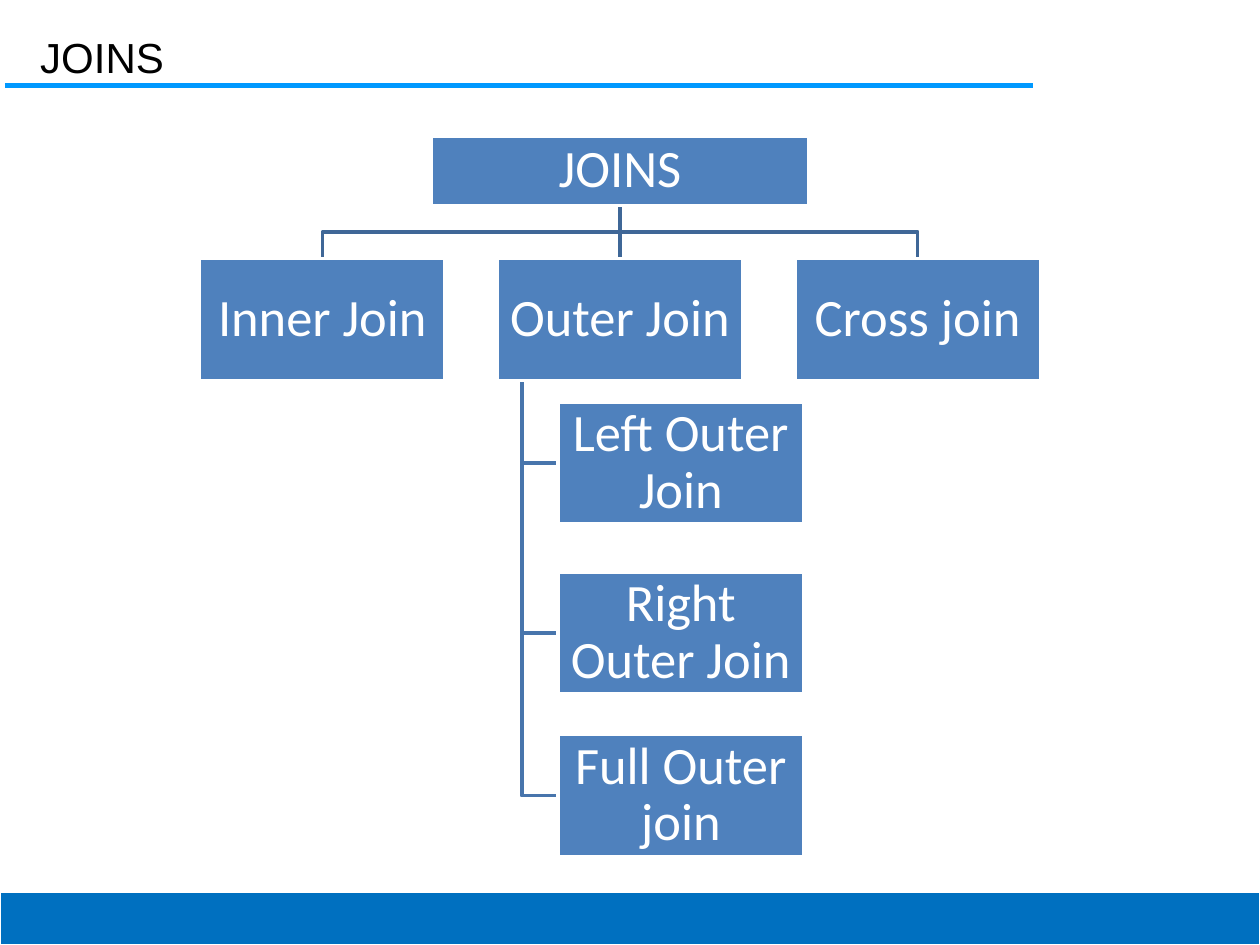
import pptx
import pptx.util
import pptx.dml.color
import pptx.enum.shapes
import pptx.enum.text
import pptx.oxml.ns
from lxml import etree

Cm, Pt = pptx.util.Cm, pptx.util.Pt
ANCHOR = pptx.enum.text.MSO_ANCHOR
ALIGN = pptx.enum.text.PP_ALIGN

COLORS = {
    "text": "000000", "white": "FFFFFF", "rule": "0099FF", "footer": "0070C0",
    "box": "4F81BD", "branch": "3F6797", "stem": "4875AC",
}


def rgb(name):
    return pptx.dml.color.RGBColor.from_string(COLORS[name])


class Deck:
    """Holds the style and the current slide."""

    box_size = (4.95, 2.46)

    def __init__(self, width, height):
        self.prs = pptx.Presentation()
        self.prs.slide_width, self.prs.slide_height = Cm(width), Cm(height)
        self.s = self.prs.slides.add_slide(self.prs.slide_layouts[5])

    def set_text(self, sp, text, size, font, color, align, spacing, **frame):
        tf = sp.text_frame
        frame = {"word_wrap": True, "auto_size": pptx.enum.text.MSO_AUTO_SIZE.NONE, **frame}
        for name, value in frame.items():
            setattr(tf, name, value)
        p = tf.paragraphs[0]
        p.alignment, p.line_spacing = align, spacing
        r = p.add_run()
        r.text = text
        for name, value in {"size": Pt(size), "name": font}.items():
            setattr(r.font, name, value)
        r.font.color.rgb = rgb(color)

    def title(self, text, x, y, w, h):
        sp = self.s.shapes.title
        sp.left, sp.top, sp.width, sp.height = map(Cm, (x, y, w, h))
        self.set_text(sp, text, 24, "Arial", "text", ALIGN.LEFT, 1.0,
                      vertical_anchor=ANCHOR.TOP, margin_left=Cm(0.23), margin_right=Cm(0.23),
                      margin_top=Cm(0.2), margin_bottom=Cm(0))

    def rect(self, x, y, w, h, fill, line_width):
        sp = self.s.shapes.add_shape(
            pptx.enum.shapes.MSO_SHAPE.RECTANGLE, *map(Cm, (x, y, w, h)))
        sp.shadow.inherit = False
        sp.fill.solid()
        sp.fill.fore_color.rgb = rgb(fill)
        self.stroke(sp, "white", line_width)
        return sp

    def box(self, text, x, y, size=box_size):
        sp = self.rect(x, y, *size, "box", 2)
        margins = {f"margin_{side}": Cm(0.05) for side in ("left", "right", "top", "bottom")}
        self.set_text(sp, text, 30, "Calibri", "white", ALIGN.CENTER, 0.9,
                      vertical_anchor=ANCHOR.MIDDLE, **margins)
        return sp

    def stroke(self, sp, color, width):
        sp.line.color.rgb = rgb(color)
        sp.line.width = Pt(width)

    def to_back(self, sp):
        self.s.shapes._spTree.insert(2, sp._element)

    def line(self, x1, y1, x2, y2, color, width):
        sp = self.s.shapes.add_connector(
            pptx.enum.shapes.MSO_CONNECTOR.STRAIGHT, *map(Cm, (x1, y1, x2, y2)))
        self.stroke(sp, color, width)
        etree.SubElement(sp._element.spPr, pptx.oxml.ns.qn("a:effectLst"))
        self.to_back(sp)
        return sp

    def elbow(self, points, color):
        start, *rest = [(Cm(x), Cm(y)) for x, y in points]
        builder = self.s.shapes.build_freeform(*start, scale=1.0)
        builder.add_line_segments(rest, close=False)
        sp = builder.convert_to_shape()
        sp.shadow.inherit = False
        sp.fill.background()
        self.stroke(sp, color, 2)
        self.to_back(sp)


def main():
    deck = Deck(25.4, 19.05)
    box_w, box_h = deck.box_size

    # Title, rule and footer bar
    deck.title("JOINS", 0.58, 0.43, 20.24, 1.02)
    deck.line(0.1, 1.73, 20.83, 1.73, "rule", 2.89)
    deck.rect(0, 17.98, 25.4, 1.07, "footer", 0.75)

    # Root
    mid, root_y, root_w, root_h = 12.5, 2.74, 7.62, 1.4
    root_bottom = root_y + root_h
    root = deck.box("JOINS", mid - root_w / 2, root_y, (root_w, root_h))

    # Join types, one column each
    row_y, step = 5.21, 6
    bend_y = (root_bottom + row_y) / 2
    for i, name in enumerate(("Inner Join", "Outer Join", "Cross join")):
        x = mid + (i - 1) * step
        sp = deck.box(name, x - box_w / 2, row_y)
        if x == mid:
            trunk = deck.line(mid, root_bottom, mid, row_y, "branch", 2)
            trunk.begin_connect(root, 2)
            trunk.end_connect(sp, 0)
        else:
            deck.elbow([(mid, root_bottom), (mid, bend_y), (x, bend_y), (x, row_y)], "branch")

    # Outer joins, hung from one stem
    stem_x, left = 10.52, 11.25
    outer_joins = {"Left Outer Join": 8.1, "Right Outer Join": 11.53, "Full Outer join": 14.81}
    for name, y in outer_joins.items():
        deck.box(name, left, y)
        center = y + box_h / 2
        deck.elbow([(stem_x, row_y + box_h), (stem_x, center), (left, center)], "stem")

    deck.prs.save("out.pptx")


if __name__ == "__main__":
    main()
